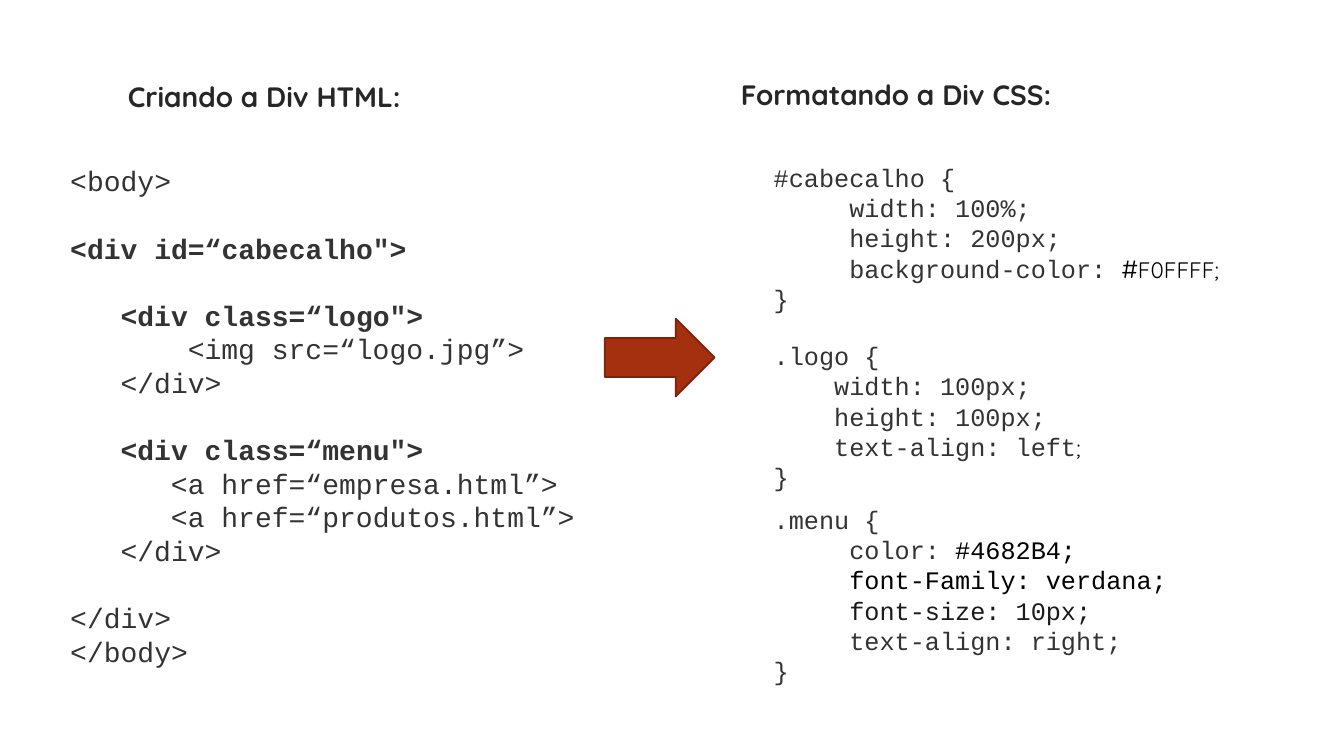
from dataclasses import dataclass

from pptx import Presentation
from pptx import util as u
from pptx.dml.color import RGBColor
from pptx.enum import shapes, text


@dataclass(frozen=True)
class Theme:
    heading_font: str = "Quicksand"
    code_font: str = "Courier New"
    heading: str = "262626"
    code: str = "333333"
    dark: str = "1B1B1B"
    black: str = "000000"
    paper: str = "FFFFFF"
    arrow: str = "A53010"
    arrow_edge: str = "7A240C"
    heading_size: int = 20
    html_size: int = 20
    css_size: int = 18
    small_size: int = 16
    line_pitch: float = 1.2
    char_width: float = 0.6


THEME = Theme()


@dataclass(frozen=True)
class Run:
    text: str
    color: str = THEME.code
    font: str = THEME.code_font
    size: int = 0
    bold: bool = False


@dataclass(frozen=True)
class Line:
    """One line of code: indent in characters, gap before it in lines."""
    indent: int
    runs: tuple
    gap: int = 0


def code(indent, wording, gap=0, **style):
    return Line(indent, (Run(wording, **style),), gap)


HTML = (
    code(0, "<body>"),
    code(0, "<div id=“cabecalho\">", gap=1, bold=True),
    code(3, "<div class=“logo\">", gap=1, bold=True),
    code(7, "<img src=“logo.jpg”>"),
    code(3, "</div>"),
    code(3, "<div class=“menu\">", gap=1, bold=True),
    code(6, "<a href=“empresa.html”>"),
    code(6, "<a href=“produtos.html”>"),
    code(3, "</div>"),
    code(0, "</div>", gap=1),
    code(0, "</body>"),
)
CSS_CABECALHO = (
    code(0, "#cabecalho {"),
    code(5, "width: 100%;"),
    code(5, "height: 200px;"),
    Line(5, (Run("background-color: "),
             Run("#", THEME.black, THEME.heading_font),
             Run("F0FFFF;", THEME.black, THEME.heading_font, THEME.small_size))),
    code(0, "}"),
)
CSS_LOGO = (
    code(0, ".logo {"),
    code(4, "width: 100px;"),
    code(4, "height: 100px;"),
    Line(4, (Run("text-align: left"),
             Run(";", THEME.black, THEME.heading_font, THEME.small_size))),
    code(0, "}"),
)
CSS_MENU = (
    code(0, ".menu {"),
    Line(5, (Run("color: "), Run("#4682B4;", THEME.black))),
    code(5, "font-Family: verdana;", color=THEME.black),
    code(5, "font-size: 10px;", color=THEME.dark),
    code(5, "text-align: right;"),
    code(0, "}"),
)


def rgb(color):
    return RGBColor.from_string(color)


def add_run(paragraph, part, size):
    run = paragraph.add_run()
    run.text = part.text
    run.font.name = part.font
    run.font.size = u.Pt(part.size or size)
    run.font.bold = part.bold
    run.font.color.rgb = rgb(part.color)


def fill_heading(holder, wording, left, top):
    holder.left, holder.top = u.Cm(left), u.Cm(top)
    holder.width, holder.height = u.Cm(10.03), u.Cm(3.56)
    frame = holder.text_frame
    frame.word_wrap = True
    frame.auto_size = text.MSO_AUTO_SIZE.NONE
    frame.vertical_anchor = text.MSO_ANCHOR.TOP
    paragraph = frame.paragraphs[0]
    paragraph.alignment = text.PP_ALIGN.LEFT
    add_run(paragraph, Run(wording, THEME.heading, THEME.heading_font, bold=True),
            THEME.heading_size)


def add_code_block(slide, lines, size, left, top, width, height):
    block = slide.shapes.add_shape(
        shapes.MSO_SHAPE.RECTANGLE, u.Cm(left), u.Cm(top), u.Cm(width), u.Cm(height))
    block.shadow.inherit = False
    block.fill.solid()
    block.fill.fore_color.rgb = rgb(THEME.paper)
    block.line.fill.background()
    frame = block.text_frame
    frame.word_wrap = True
    frame.vertical_anchor = text.MSO_ANCHOR.MIDDLE
    pitch = u.Pt(size * THEME.line_pitch)
    for number, line in enumerate(lines):
        paragraph = frame.add_paragraph() if number else frame.paragraphs[0]
        paragraph.alignment = text.PP_ALIGN.LEFT
        paragraph.line_spacing = pitch
        paragraph.space_before = u.Pt(size * THEME.line_pitch * line.gap)
        indent = u.Pt(line.indent * size * THEME.char_width)
        properties = paragraph._p.get_or_add_pPr()
        properties.set("marL", str(int(indent)))
        properties.set("indent", "0")
        for part in line.runs:
            add_run(paragraph, part, size)


def add_html_side(slide, left, top):
    fill_heading(slide.shapes.title, "Criando a Div HTML:", left + 1.45, top)
    add_code_block(slide, HTML, THEME.html_size, left, top + 2.06, 16.48, 13.08)


def add_css_side(slide, left, top):
    heading = slide.shapes.add_textbox(0, 0, 0, 0)
    fill_heading(heading, "Formatando a Div CSS:", left, top)
    for rules, offset, width, height in (
        (CSS_CABECALHO, 2.11, 13.08, 4.11),
        (CSS_LOGO, 6.6, 11.96, 4.11),
        (CSS_MENU, 10.72, 11.96, 4.88),
    ):
        add_code_block(slide, rules, THEME.css_size, left + 0.83, top + offset, width, height)


def add_arrow(slide, left, top, width, height):
    arrow = slide.shapes.add_shape(
        shapes.MSO_SHAPE.RIGHT_ARROW, u.Cm(left), u.Cm(top), u.Cm(width), u.Cm(height))
    arrow.shadow.inherit = False
    arrow.fill.solid()
    arrow.fill.fore_color.rgb = rgb(THEME.arrow)
    arrow.line.color.rgb = rgb(THEME.arrow_edge)
    arrow.line.width = u.Pt(1.25)


def main():
    deck = Presentation()
    deck.slide_width, deck.slide_height = u.Cm(33.87), u.Cm(19.05)
    title_only = deck.slide_layouts[5]
    slide = deck.slides.add_slide(title_only)
    add_html_side(slide, 1.52, 1.88)
    add_css_side(slide, 18.42, 1.83)
    add_arrow(slide, 15.24, 8.03, 2.77, 1.96)
    deck.save("out.pptx")


if __name__ == "__main__":
    main()
